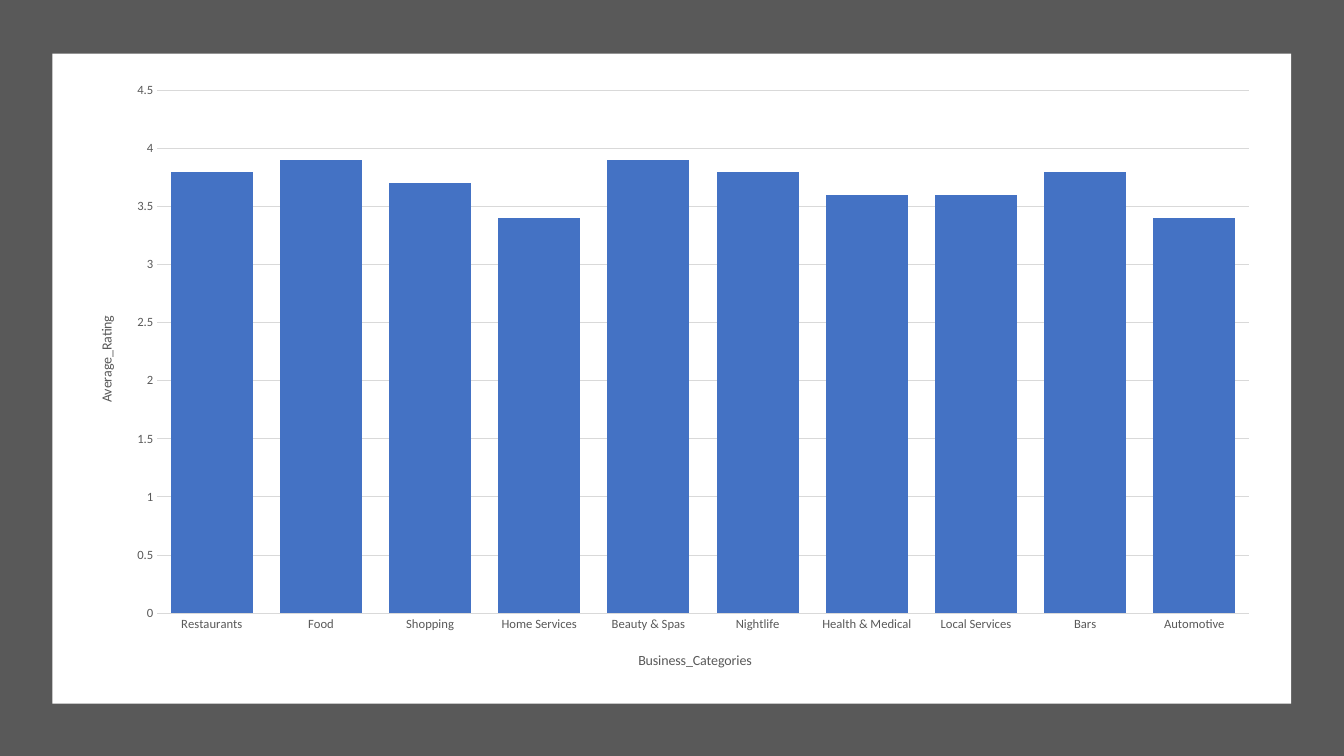
from pptx import Presentation
from pptx.chart.data import CategoryChartData
from pptx.dml.color import RGBColor
from pptx.enum.chart import XL_CHART_TYPE, XL_TICK_MARK
from pptx.enum.shapes import MSO_SHAPE
from pptx.oxml import parse_xml
from pptx.oxml.ns import nsdecls, qn
from pptx.util import Cm, Pt


def color(code):
    return RGBColor.from_string(code)


def arrange(node, index, **parts):
    for old in node.findall(qn("c:layout")):
        node.remove(old)
    tags = "".join(f'<c:{key} val="{val}"/>' for key, val in parts.items())
    node.insert(index, parse_xml(
        f'<c:layout {nsdecls("c")}><c:manualLayout>{tags}</c:manualLayout></c:layout>'))


deck = Presentation()
deck.slide_width, deck.slide_height = Cm(33.87), Cm(19.05)
slide = deck.slides.add_slide(deck.slide_layouts[6])

for left, top, width, height, fill in [
    (0, 0, 33.87, 19.05, "595959"),
    (1.32, 1.35, 31.22, 16.38, "FFFFFF"),
]:
    panel = slide.shapes.add_shape(
        MSO_SHAPE.RECTANGLE, Cm(left), Cm(top), Cm(width), Cm(height))
    panel.shadow.inherit = False
    panel.fill.solid()
    panel.fill.fore_color.rgb = color(fill)
    panel.line.fill.background()

scores = {
    "Restaurants": 3.8, "Food": 3.9, "Shopping": 3.7, "Home Services": 3.4,
    "Beauty & Spas": 3.9, "Nightlife": 3.8, "Health & Medical": 3.6,
    "Local Services": 3.6, "Bars": 3.8, "Automotive": 3.4,
}
data = CategoryChartData()
data.categories = list(scores)
data.add_series("Average_Rating", list(scores.values()))
chart = slide.shapes.add_chart(
    XL_CHART_TYPE.COLUMN_CLUSTERED,
    Cm(1.78), Cm(1.78), Cm(30.3), Cm(15.47), data).chart
chart.has_title = False
chart.has_legend = False
chart.font.name = "Calibri"
chart.font.size = Pt(10)

plot = chart.plots[0]
for key, val in {"vary_by_categories": False, "gap_width": 33, "overlap": -30}.items():
    setattr(plot, key, val)
bars = plot.series[0].format.fill
bars.solid()
bars.fore_color.rgb = color("4472C4")
area = chart.element.find(".//" + qn("c:plotArea"))
arrange(area, 0, layoutTarget="inner", xMode="edge", yMode="edge",
        x=0.072, y=0.032, w=0.908, h=0.852)

ticks = {"major_tick_mark": XL_TICK_MARK.NONE, "minor_tick_mark": XL_TICK_MARK.NONE}
style = {"name": "Calibri", "bold": False}
scale = {"minimum_scale": 0, "maximum_scale": 4.5, "major_unit": 0.5}
for axis, title, left, top in [
    (chart.category_axis, "Business_Categories", 0.47, 0.942),
    (chart.value_axis, "Average_Rating", 0.02, 0.395),
]:
    for key, val in ticks.items():
        setattr(axis, key, val)
    frame = axis.axis_title.text_frame
    frame.text = title
    for font, size in [(axis.tick_labels.font, 9),
                       (frame.paragraphs[0].runs[0].font, 10)]:
        for key, val in (style | {"size": Pt(size)}).items():
            setattr(font, key, val)
        font.color.rgb = color("595959")
    arrange(axis.axis_title._element, 1, xMode="edge", yMode="edge", x=left, y=top)

for key, val in scale.items():
    setattr(chart.value_axis, key, val)
chart.value_axis.format.line.fill.background()
chart.value_axis.tick_labels.number_format = "General"
chart.value_axis.tick_labels.number_format_is_linked = False
for line in (chart.category_axis.format.line,
             chart.value_axis.major_gridlines.format.line):
    line.color.rgb = color("D9D9D9")
    line.width = Pt(0.75)

deck.save("out.pptx")
